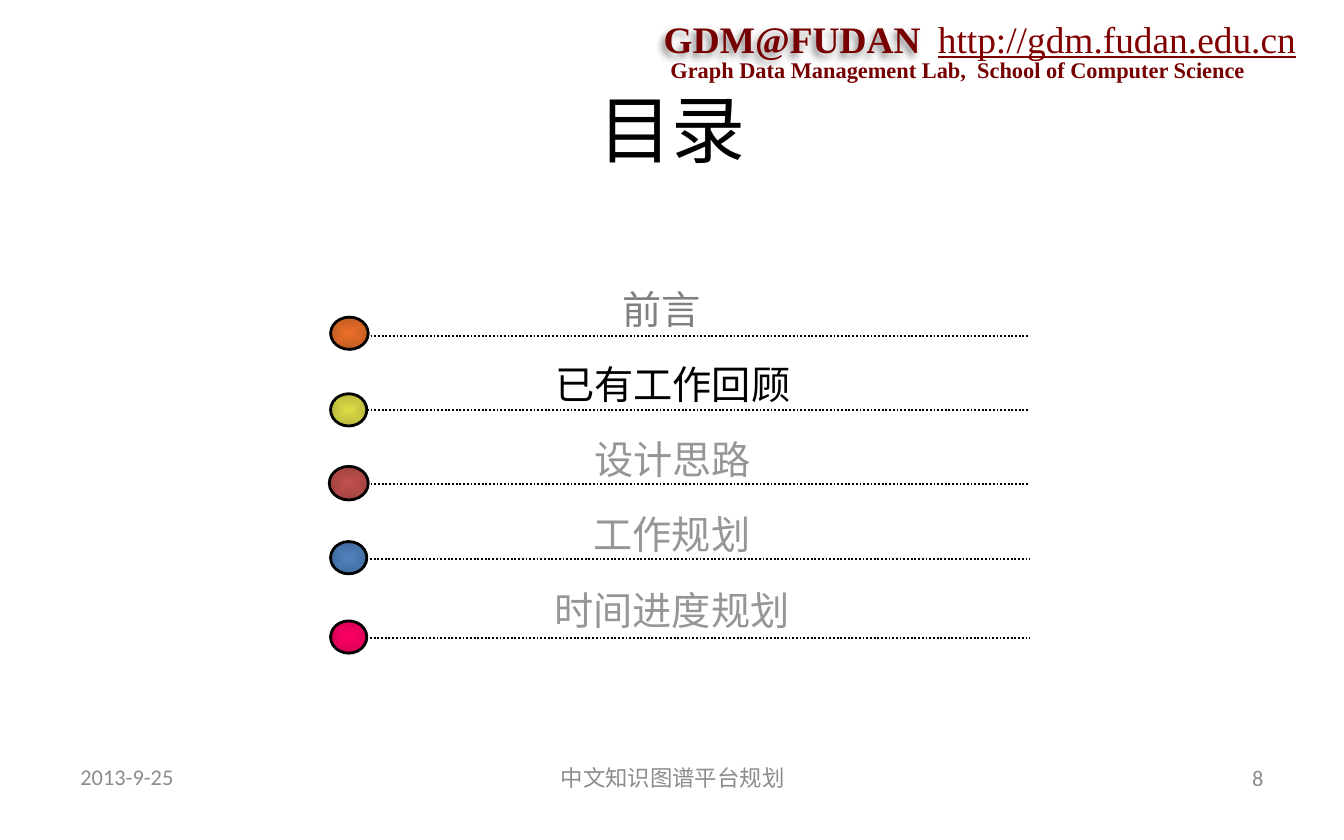
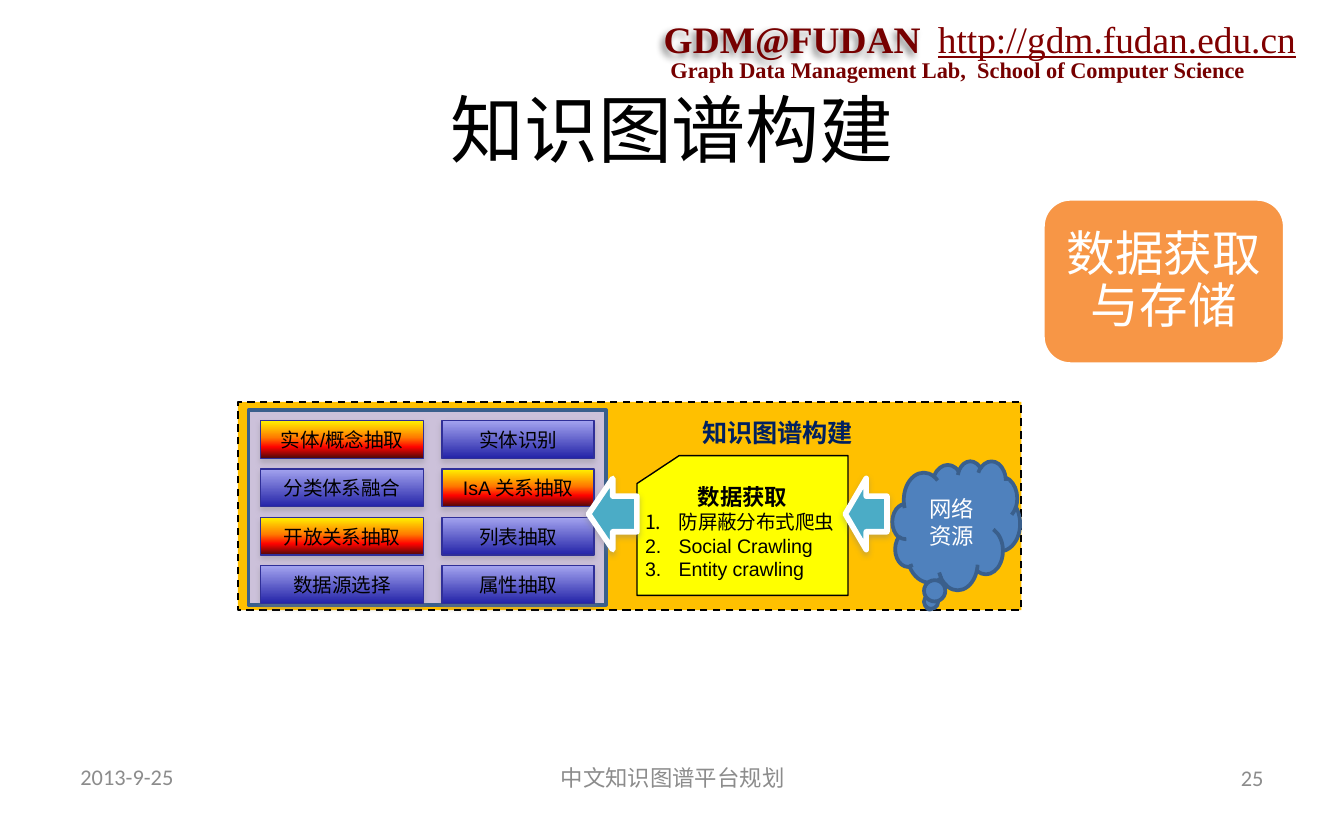
import pptx
import pptx.util
import pptx.dml.color
import pptx.enum.dml
import pptx.enum.shapes
import pptx.enum.text
import pptx.oxml
import pptx.oxml.ns

Inches = pptx.util.Inches
Pt = pptx.util.Pt
SHAPE = pptx.enum.shapes.MSO_SHAPE
DASH = pptx.enum.dml.MSO_LINE
ALIGN = pptx.enum.text.PP_ALIGN
ANCHOR = pptx.enum.text.MSO_ANCHOR
qn = pptx.oxml.ns.qn

BLACK, WHITE, GREY = "000000", "FFFFFF", "8C8C8C"
MAROON, LINK = "760000", "800000"
PALE, BLUE, EDGE = "969696", "4F81BD", "3A5F8C"
CJK, SERIF = "Noto Sans CJK SC", "Times New Roman"
HOT = [(0, "FFF200"), (45, "FF7A00"), (70, "FF0300"), (100, "4D0808")]
COOL = [(0, "A3A3EF"), (100, "2424A8")]
STEP_SHADOW = ("808080", 35, 3.1, 1.8, 90)
ARROW_SHADOW = ("808080", 38, 3.1, 1.6, 90)
LOGO_SHADOW = (BLACK, 45, 4, 3, 135)


def rgb(value):
    return pptx.dml.color.RGBColor.from_string(value)


def sub(parent, tag, **attrs):
    el = pptx.oxml.parse_xml(f"<{tag} {pptx.oxml.ns.nsdecls('a')}/>")
    for key, value in attrs.items():
        el.set(key, str(value))
    parent.append(el)
    return el


def add_shadow(sp, color, alpha, blur, dist, angle):
    sp.shadow.inherit = False
    effects = sp._element.spPr.find(qn("a:effectLst"))
    shadow = sub(effects, "a:outerShdw", blurRad=Pt(blur), dist=Pt(dist),
                 dir=angle * 60000, algn="ctr", rotWithShape=0)
    sub(sub(shadow, "a:srgbClr", val=color), "a:alpha", val=alpha * 1000)


def gradient(sp, stops, radial=False):
    sp.fill.gradient()
    grad = sp._element.spPr.find(qn("a:gradFill"))
    for child in list(grad):
        grad.remove(child)
    gs_list = sub(grad, "a:gsLst")
    for pos, color in stops:
        sub(sub(gs_list, "a:gs", pos=pos * 1000), "a:srgbClr", val=color)
    if radial:
        center = sub(grad, "a:path", path="shape")
        sub(center, "a:fillToRect", l=50000, t=50000, r=50000, b=50000)
    else:
        sub(grad, "a:lin", ang=5400000, scaled=0)


def write(sp, text, size, color=BLACK, font="Calibri", bold=False, underline=False,
          align=ALIGN.LEFT, anchor=ANCHOR.TOP, margins=(0.1, 0.05), wrap=True,
          spacing=None, numbered=()):
    tf = sp.text_frame
    tf.word_wrap = wrap
    tf.vertical_anchor = anchor
    tf.margin_left = tf.margin_right = Inches(margins[0])
    tf.margin_top = tf.margin_bottom = Inches(margins[1])
    p = tf.paragraphs[0]
    add_run(p, text, size, color, font, bold, underline)
    p.alignment = align
    if spacing:
        p.line_spacing = spacing
    for item in numbered:
        p = tf.add_paragraph()
        p.alignment = ALIGN.LEFT
        pPr = p._p.get_or_add_pPr()
        pPr.set("marL", str(Inches(0.25)))
        pPr.set("indent", str(Inches(-0.25)))
        sub(pPr, "a:buFont", typeface="+mj-lt")
        sub(pPr, "a:buAutoNum", type="arabicPeriod")
        add_run(p, item, 10.5, color, font)


def add_run(p, text, size, color, font, bold=False, underline=False):
    r = p.add_run()
    r.text = text
    r.font.size = Pt(size)
    r.font.name = font
    r.font.bold = bold
    r.font.underline = underline
    r.font.color.rgb = rgb(color)
    sub(r._r.get_or_add_rPr(), "a:ea", typeface=CJK)


def add_text(slide, box, text, size, **fmt):
    sp = slide.shapes.add_textbox(*map(Inches, box))
    write(sp, text, size, **fmt)
    return sp


def add_shape(slide, kind, box, fill, line, width, dash=None, shadow=None, radial=False):
    sp = slide.shapes.add_shape(kind, *map(Inches, box))
    if isinstance(fill, str):
        sp.fill.solid()
        sp.fill.fore_color.rgb = rgb(fill)
    else:
        gradient(sp, fill, radial)
    sp.line.color.rgb = rgb(line)
    sp.line.width = Pt(width)
    if dash:
        sp.line.dash_style = dash
    sp.shadow.inherit = False
    if shadow:
        add_shadow(sp, *shadow)
    return sp


def add_dotted_line(slide, x1, x2, y):
    cxn = slide.shapes.add_connector(pptx.enum.shapes.MSO_CONNECTOR.STRAIGHT,
                                     Inches(x1), Inches(y), Inches(x2), Inches(y))
    cxn.line.color.rgb = rgb(BLACK)
    cxn.line.width = Pt(1)
    cxn.line.dash_style = DASH.ROUND_DOT
    sub(cxn._element.spPr, "a:effectLst")


def add_left_arrow(slide, box):
    sp = add_shape(slide, SHAPE.RIGHT_ARROW, box, "4BACC6", WHITE, 3, shadow=ARROW_SHADOW)
    sp._element.spPr.xfrm.set("flipH", "1")


def add_step(slide, box, text, hot):
    sp = add_shape(slide, SHAPE.RECTANGLE, box, HOT if hot else COOL, "2F2F98", 0.75,
                   shadow=STEP_SHADOW)
    write(sp, text, 10.5, font="Arial", align=ALIGN.CENTER, anchor=ANCHOR.MIDDLE,
          margins=(0, 0.05))


def new_slide(prs, title, number):
    slide = prs.slides.add_slide(prs.slide_layouts[6])
    add_text(slide, (4.89, 0.37, 4.6, 0.3),
             "Graph Data Management Lab,  School of Computer Science", 12,
             font=SERIF, color=MAROON, bold=True)
    lab = add_text(slide, (4.84, 0.07, 2.12, 0.43), "GDM@FUDAN", 20,
                   font=SERIF, color=MAROON, bold=True)
    add_shadow(lab, *LOGO_SHADOW)
    add_text(slide, (6.88, 0.07, 2.88, 0.43), "http://gdm.fudan.edu.cn", 20,
             font=SERIF, color=LINK, underline=True, wrap=False)
    add_text(slide, (0.5, 0.62, 9, 0.67), title, 39.6,
             align=ALIGN.CENTER, anchor=ANCHOR.MIDDLE)
    footers = [(0.5, 5.61, 2.33, "2013-9-25", ALIGN.LEFT),
               (3.42, 5.62, 3.17, "中文知识图谱平台规划", ALIGN.CENTER),
               (7.17, 5.62, 2.33, str(number), ALIGN.RIGHT)]
    for x, y, w, text, align in footers:
        add_text(slide, (x, y, w, 0.33), text, 12, color=GREY, align=align,
                 anchor=ANCHOR.MIDDLE)
    return slide


def build_contents(prs):
    slide = new_slide(prs, "目录", 8)
    entries = [
        ("前言", "808080", 3.08, 3.69, 2.62, 2.5, (2.46, 2.36, 0.28, 0.24), "E96E29", "C35C22"),
        ("已有工作回顾", BLACK, 2.85, 4.31, 2.73, 3.05, (2.46, 2.93, 0.27, 0.24), "DCDC48", "B8B83C"),
        ("设计思路", PALE, 2.58, 4.85, 2.62, 3.6, (2.45, 3.47, 0.29, 0.25), "C0504D", "A14341"),
        ("工作规划", PALE, 2.23, 5.54, 2.56, 4.16, (2.46, 4.03, 0.27, 0.24), BLUE, "426C9E"),
        ("时间进度规划", PALE, 2.23, 5.54, 2.56, 4.75, (2.46, 4.62, 0.27, 0.24), "FF0066", "D60056"),
    ]
    for i, (text, color, x, w, line_x, line_y, dot, inner, outer) in enumerate(entries):
        add_dotted_line(slide, line_x, 7.66, line_y)
        add_shape(slide, SHAPE.OVAL, dot, [(0, inner), (100, outer)], BLACK, 1.5, radial=True)
        add_text(slide, (x, 2.08 + 0.56 * i, w, 0.44), text, 21, color=color, font=CJK,
                 align=ALIGN.CENTER, margins=(0.09, 0.04))


def build_construction(prs):
    slide = new_slide(prs, "知识图谱构建", 25)
    add_shape(slide, SHAPE.RECTANGLE, (1.77, 2.99, 5.83, 1.55), "FFC000", BLACK, 1, DASH.DASH)
    add_text(slide, (5.13, 3.06, 1.36, 0.33), "知识图谱构建", 13.5, color="002060", bold=True)
    cloud = add_shape(slide, SHAPE.CLOUD_CALLOUT, (6.64, 3.43, 0.95, 0.96), BLUE, EDGE, 2)
    write(cloud, "网络资源", 12, color=WHITE, align=ALIGN.CENTER, anchor=ANCHOR.MIDDLE)
    add_shape(slide, SHAPE.RECTANGLE, (1.85, 3.05, 2.66, 1.45), "CCC1DA", EDGE, 2)
    card = add_shape(slide, SHAPE.FLOWCHART_CARD, (4.74, 3.39, 1.57, 1.04), "FFFF00", BLACK, 0.75)
    write(card, "数据获取", 12, font="Arial", bold=True, align=ALIGN.CENTER, margins=(0.06, 0),
          numbered=["防屏蔽分布式爬虫", "Social Crawling", "Entity crawling"])

    columns = [
        (1.94, 1.21, ["实体/概念抽取", "分类体系融合", "开放关系抽取", "数据源选择"]),
        (3.29, 1.13, ["实体识别", "IsA 关系抽取", "列表抽取", "属性抽取"]),
    ]
    highlighted = {"实体/概念抽取", "开放关系抽取", "IsA 关系抽取"}
    for x, w, steps in columns:
        for row, step in enumerate(steps):
            add_step(slide, (x, 3.13 + 0.36 * row, w, 0.28), step, step in highlighted)

    for x, w in [(6.29, 0.31), (4.38, 0.36)]:
        add_left_arrow(slide, (x, 3.56, w, 0.53))

    stage = add_shape(slide, SHAPE.ROUNDED_RECTANGLE, (7.76, 1.48, 1.8, 1.23), "F79646", WHITE, 2)
    write(stage, "数据获取与存储", 26, color=WHITE, align=ALIGN.CENTER, anchor=ANCHOR.MIDDLE,
          margins=(0.11, 0.11), spacing=0.9)


def main():
    prs = pptx.Presentation()
    prs.slide_width = Inches(10)
    prs.slide_height = Inches(6.25)
    build_contents(prs)
    build_construction(prs)
    prs.save("out.pptx")


if __name__ == "__main__":
    main()
